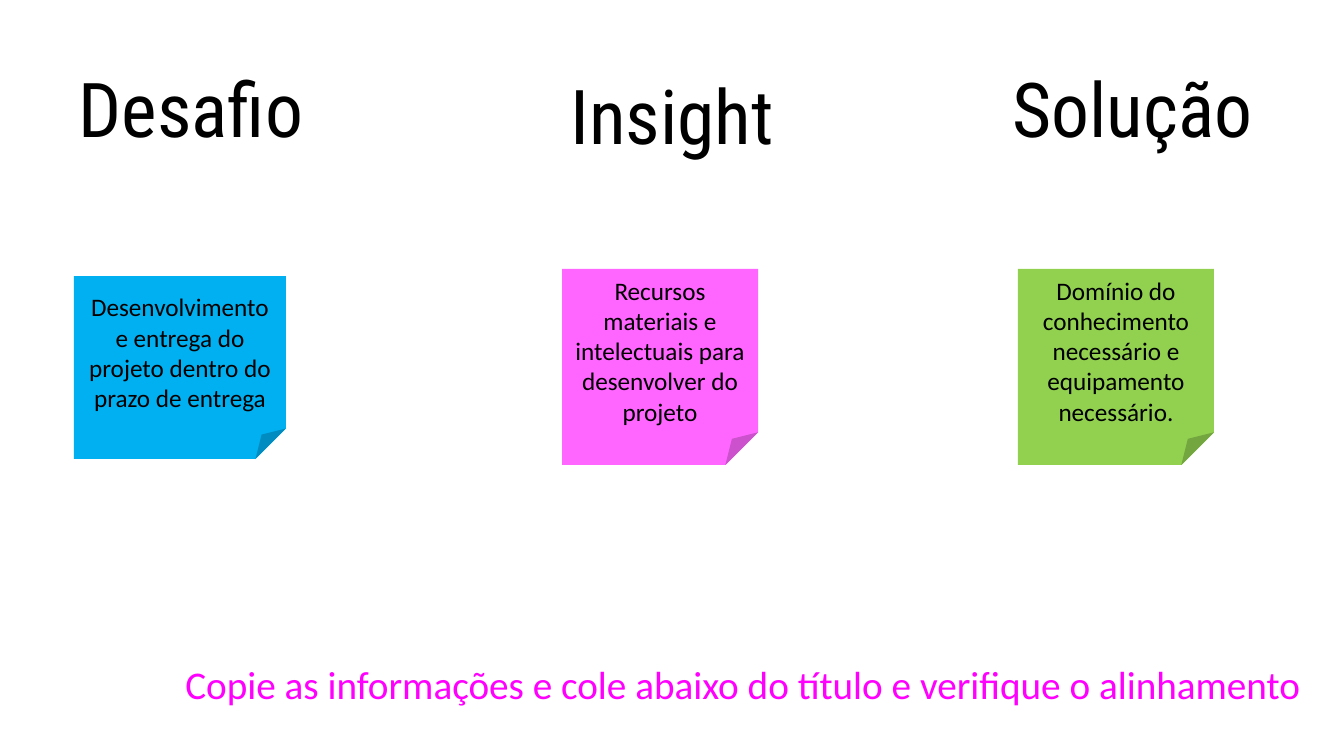
from pptx import Presentation
from pptx.dml.color import RGBColor
from pptx.enum.shapes import MSO_SHAPE
from pptx.enum.text import MSO_ANCHOR, PP_ALIGN
from pptx.util import Emu, Pt

# Content: text and box (left, top, width, height) in px
TITLES = [
    ("Desafio", (45, 40, 292, 146)),
    ("Insight", (526, 47, 292, 146)),
    ("Solução", (968, 40, 329, 146)),
]
NOTES = [
    ("Desenvolvimento e entrega do projeto dentro do prazo de entrega",
     (74, 276, 212, 183), "00B0F0"),
    ("Recursos materiais e intelectuais para desenvolver do projeto",
     (562, 269, 196, 196), "FF66FF"),
    ("Domínio do conhecimento necessário e equipamento necessário.",
     (1018, 269, 196, 196), "92D050"),
]
INSTRUCTION = (
    "Copie as informações e cole abaixo do título e verifique o alinhamento",
    (151, 661, 1159, 69),
)

# Formats
SLIDE_SIZE = (1344, 756)
EMU_PER_PX = 914400 / 100.8
TITLE_FONT = {"name": "Roboto Condensed", "size": Pt(54)}
NOTE_FONT = {"name": "Calibri", "size": Pt(18)}
INSTRUCTION_FONT = {"name": "Calibri", "size": Pt(28)}
TITLE_PARA = {"alignment": PP_ALIGN.CENTER, "line_spacing": 0.9}
NOTE_PARA = {"alignment": PP_ALIGN.CENTER}
INSTRUCTION_PARA = {"alignment": PP_ALIGN.RIGHT, "line_spacing": 0.9,
                    "space_before": Pt(10)}


def px(length):
    return Emu(round(length * EMU_PER_PX))


def color(code):
    return RGBColor.from_string(code)


def apply(target, values):
    for name, value in values.items():
        setattr(target, name, value)


def write(box, text, font, para_format, ink="000000", anchor=MSO_ANCHOR.MIDDLE):
    frame = box.text_frame
    apply(frame, {"word_wrap": True, "vertical_anchor": anchor})
    para = frame.paragraphs[0]
    apply(para, para_format)
    span = para.add_run()
    span.text = text
    apply(span.font, font)
    span.font.color.rgb = color(ink)


def add_text(page, text, place, *style):
    box = page.shapes.add_textbox(*map(px, place))
    write(box, text, *style)


def add_note(page, text, place, fill):
    note = page.shapes.add_shape(MSO_SHAPE.FOLDED_CORNER, *map(px, place))
    note.shadow.inherit = False
    note.fill.solid()
    note.fill.fore_color.rgb = color(fill)
    note.line.fill.background()
    write(note, text, NOTE_FONT, NOTE_PARA)


def main():
    deck = Presentation()
    deck.slide_width, deck.slide_height = map(px, SLIDE_SIZE)
    page = deck.slides.add_slide(deck.slide_layouts[6])

    # Instruction at the bottom
    add_text(page, *INSTRUCTION, INSTRUCTION_FONT, INSTRUCTION_PARA,
             "FF00FF", MSO_ANCHOR.TOP)

    # Column titles
    for text, place in TITLES:
        add_text(page, text, place, TITLE_FONT, TITLE_PARA)

    # Sticky notes
    for text, place, fill in NOTES:
        add_note(page, text, place, fill)

    deck.save("out.pptx")


if __name__ == "__main__":
    main()
